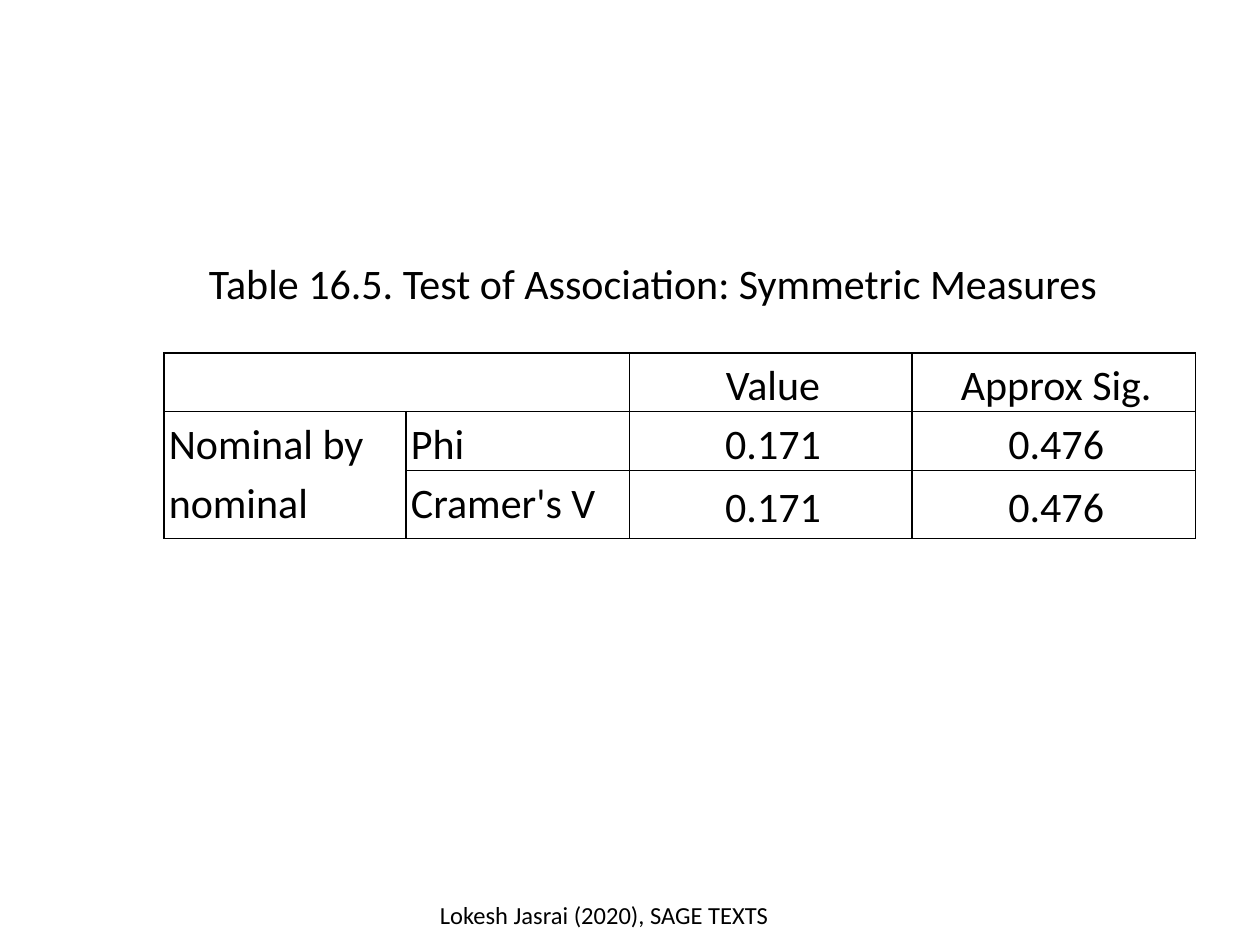
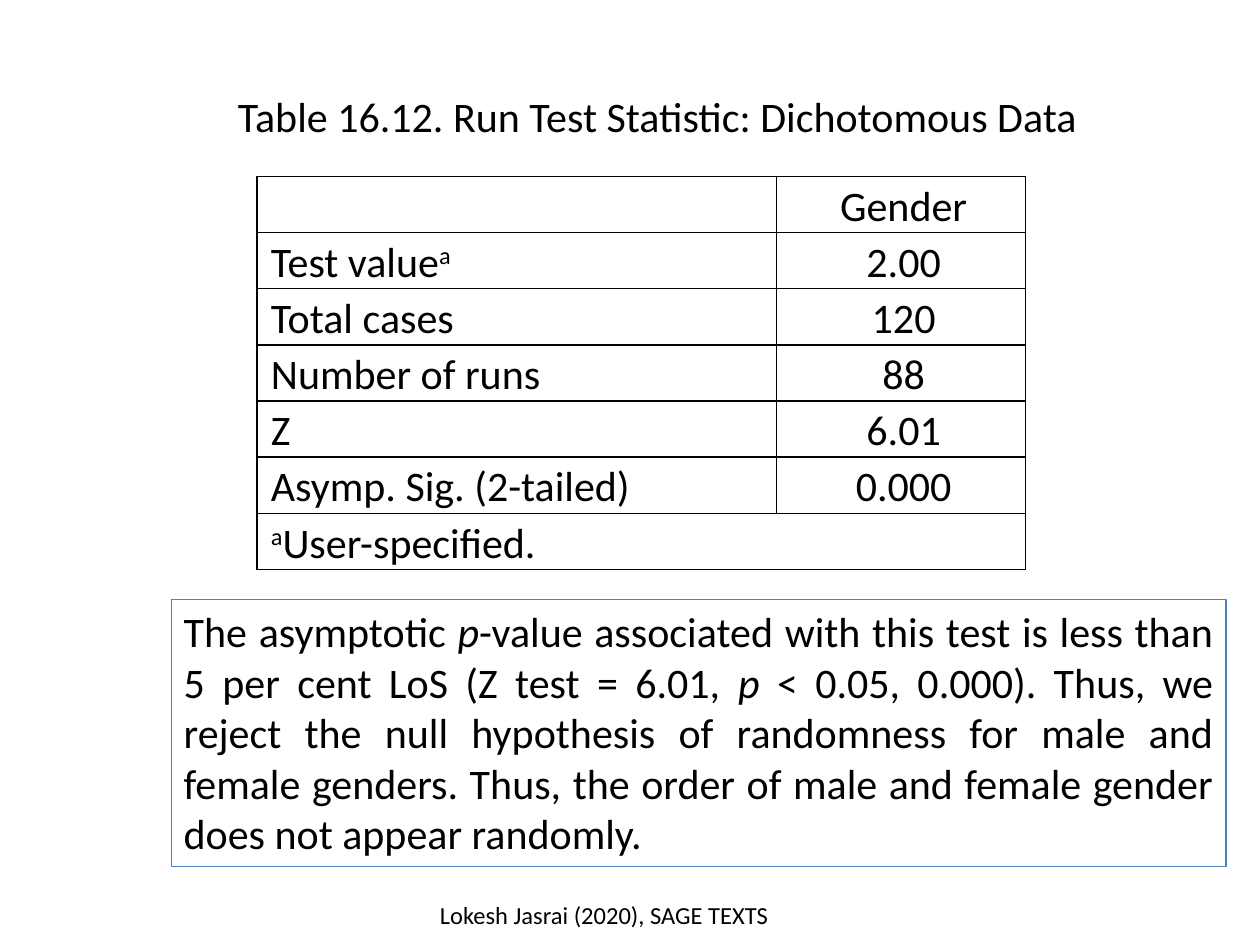
from collections import namedtuple

from lxml.etree import SubElement
from pptx import Presentation
from pptx.dml.color import RGBColor
from pptx.enum.shapes import MSO_SHAPE as Preset
from pptx.enum.text import MSO_ANCHOR as Anchor, PP_ALIGN as Align
from pptx.oxml.ns import qn
from pptx.util import Inches, Pt

Box = namedtuple("Box", "left top width height")

FONT = "Calibri"
BLACK = "000000"
BLUE = "4F81BD"
BODY_SIZE = 24
FOOTER_SIZE = 14
BORDER = 1
COLUMNS, ROWS = 100, 75
SLIDE_WIDTH, SLIDE_HEIGHT = Inches(10), Inches(7.5)
FOOTER_BOX = Box(30.1, 70.9, 35.7, 4)


def color(hex_text):
    return RGBColor.from_string(hex_text)


def across(columns):
    return round(SLIDE_WIDTH * columns / COLUMNS)


def down(rows):
    return round(SLIDE_HEIGHT * rows / ROWS)


def place(box):
    return across(box.left), down(box.top), across(box.width), down(box.height)


def write(frame, text, size=BODY_SIZE, align=Align.LEFT, spacing=None):
    para = frame.paragraphs[0]
    para.alignment = align
    para.line_spacing = spacing
    para.font.name = FONT
    para.font.size = Pt(size)
    para.font.color.rgb = color(BLACK)
    pieces = [(text, "plain")] if isinstance(text, str) else text
    for words, style in pieces:
        span = para.add_run()
        span.text = words
        if style == "italic":
            span.font.italic = True
        elif style == "superscript":
            span._r.get_or_add_rPr().set("baseline", "30000")


def add_label(page, box, text, size=BODY_SIZE, align=Align.LEFT, anchor=Anchor.TOP, wrap=True):
    frame = page.shapes.add_textbox(*place(box)).text_frame
    frame.word_wrap = wrap
    frame.vertical_anchor = anchor
    write(frame, text, size, align)


def add_title(page, box, text, wrap=True):
    add_label(page, box, text, anchor=Anchor.MIDDLE, wrap=wrap)


def add_footer(page):
    add_label(page, FOOTER_BOX, "Lokesh Jasrai (2020), SAGE TEXTS", FOOTER_SIZE, Align.CENTER)


def add_borders(cell):
    properties = cell._tc.get_or_add_tcPr()
    for side in ("a:lnL", "a:lnR", "a:lnT", "a:lnB"):
        line = SubElement(properties, qn(side), w=str(Pt(BORDER)))
        fill = SubElement(line, qn("a:solidFill"))
        SubElement(fill, qn("a:srgbClr"), val=BLACK)


def add_grid(page, box, widths, heights, margins):
    table = page.shapes.add_table(len(heights), len(widths), *place(box)).table
    table.first_row = table.horz_banding = False
    for column, width in zip(table.columns, widths):
        column.width = across(box.width * width / sum(widths))
    for row, height in zip(table.rows, heights):
        row.height = down(box.height * height / sum(heights))
    for cell in table.iter_cells():
        add_borders(cell)
        cell.fill.background()
        cell.margin_left, cell.margin_right = map(across, margins)
        cell.margin_top = cell.margin_bottom = 0
    return table


def fill_cells(table, rows, label_columns, anchor_of, spacing=None):
    for row_index, row in enumerate(rows):
        for column_index, text in enumerate(row):
            if not text:
                continue
            cell = table.cell(row_index, column_index)
            is_label = column_index < label_columns
            cell.vertical_anchor = anchor_of(row_index, is_label)
            write(cell.text_frame, text, align=Align.LEFT if is_label else Align.CENTER, spacing=spacing)


def add_association_table(page, box):
    rows = [
        ["", "", "Value", "Approx Sig."],
        ["Nominal by nominal", "Phi", "0.171", "0.476"],
        ["", "Cramer's V", "0.171", "0.476"],
    ]

    def anchor_of(row_index, is_label):
        if is_label:
            return Anchor.TOP
        return Anchor.MIDDLE if row_index else Anchor.BOTTOM

    table = add_grid(page, box, [19.2, 17.7, 22.4, 22.5], [4.6, 4.6, 5.4], (0.4, 0))
    table.cell(0, 0).merge(table.cell(0, 1))
    table.cell(1, 0).merge(table.cell(2, 0))
    fill_cells(table, rows, 2, anchor_of, 1.15)


def add_run_test_table(page, box):
    rows = [
        ["", "Gender"],
        [[("Test value", "plain"), ("a", "superscript")], "2.00"],
        ["Total cases", "120"],
        ["Number of runs", "88"],
        ["Z", "6.01"],
        ["Asymp. Sig. (2-tailed)", "0.000"],
        [[("a", "superscript"), ("User-specified.", "plain")], ""],
    ]
    table = add_grid(page, box, [41.3, 19.8], [1] * len(rows), (1.1, 0.7))
    table.cell(6, 0).merge(table.cell(6, 1))
    fill_cells(table, rows, 1, lambda row_index, is_label: Anchor.BOTTOM)


def add_conclusion(page, box):
    panel = page.shapes.add_shape(Preset.RECTANGLE, *place(box))
    panel.shadow.inherit = False
    panel.fill.background()
    panel.line.color.rgb = color(BLUE)
    panel.line.width = Pt(0.75)
    frame = panel.text_frame
    frame.word_wrap = True
    frame.vertical_anchor = Anchor.TOP
    write(frame, [
        ("The asymptotic ", "plain"),
        ("p", "italic"),
        ("-value associated with this test is less than 5 per cent LoS (Z test = 6.01, ", "plain"),
        ("p ", "italic"),
        ("< 0.05, 0.000). Thus, we reject the null hypothesis of randomness for male and female "
         "genders. Thus, the order of male and female gender does not appear randomly.", "plain"),
    ], align=Align.JUSTIFY)


def build_association_slide(page):
    add_association_table(page, Box(13, 28, 81.9, 14.6))
    add_title(page, Box(15.6, 19.9, 73.2, 5), "Table 16.5. Test of Association: Symmetric Measures", wrap=False)
    add_footer(page)


def build_run_test_slide(page):
    add_run_test_table(page, Box(20.4, 14, 61, 31.2))
    add_title(page, Box(17.9, 6.7, 82.1, 5), "Table 16.12. Run Test Statistic: Dichotomous Data")
    add_conclusion(page, Box(13.6, 47.6, 83.7, 21.2))
    add_footer(page)


def main():
    deck = Presentation()
    deck.slide_width, deck.slide_height = SLIDE_WIDTH, SLIDE_HEIGHT
    for build in (build_association_slide, build_run_test_slide):
        build(deck.slides.add_slide(deck.slide_layouts[6]))
    deck.save("out.pptx")


if __name__ == "__main__":
    main()
